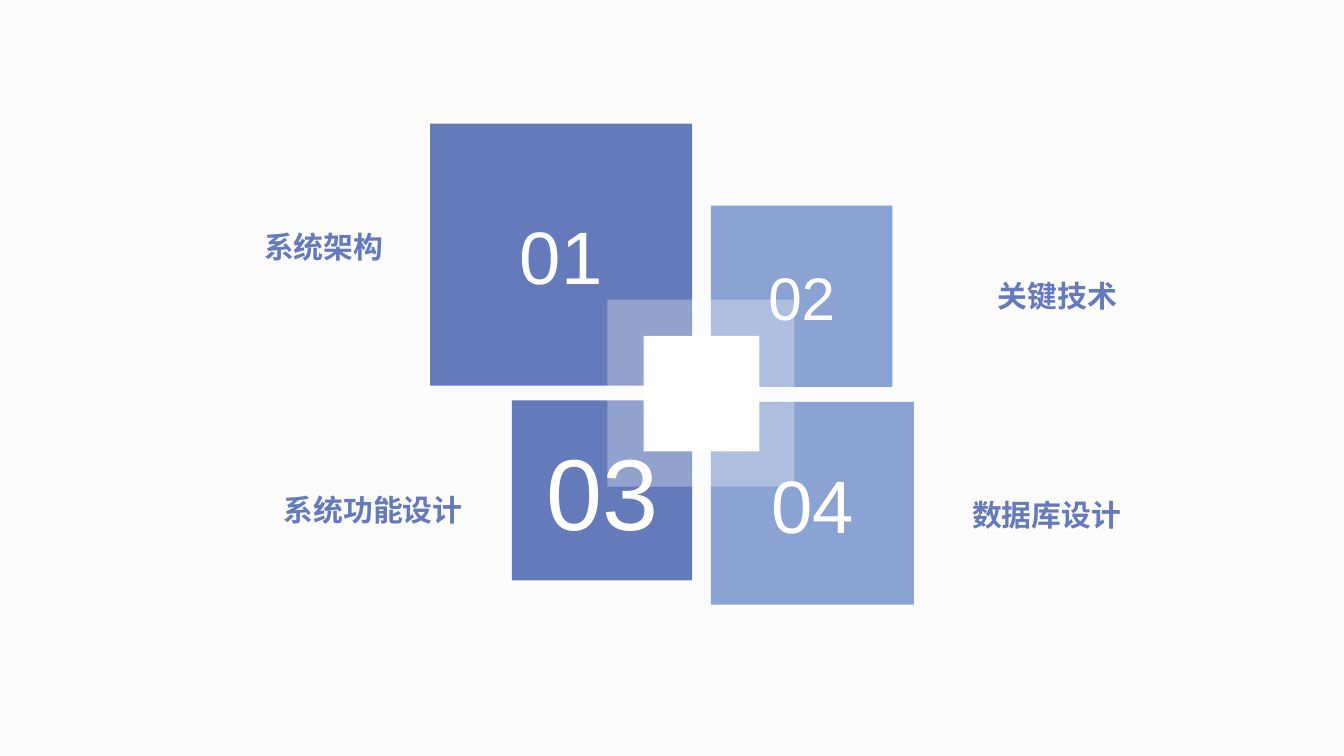
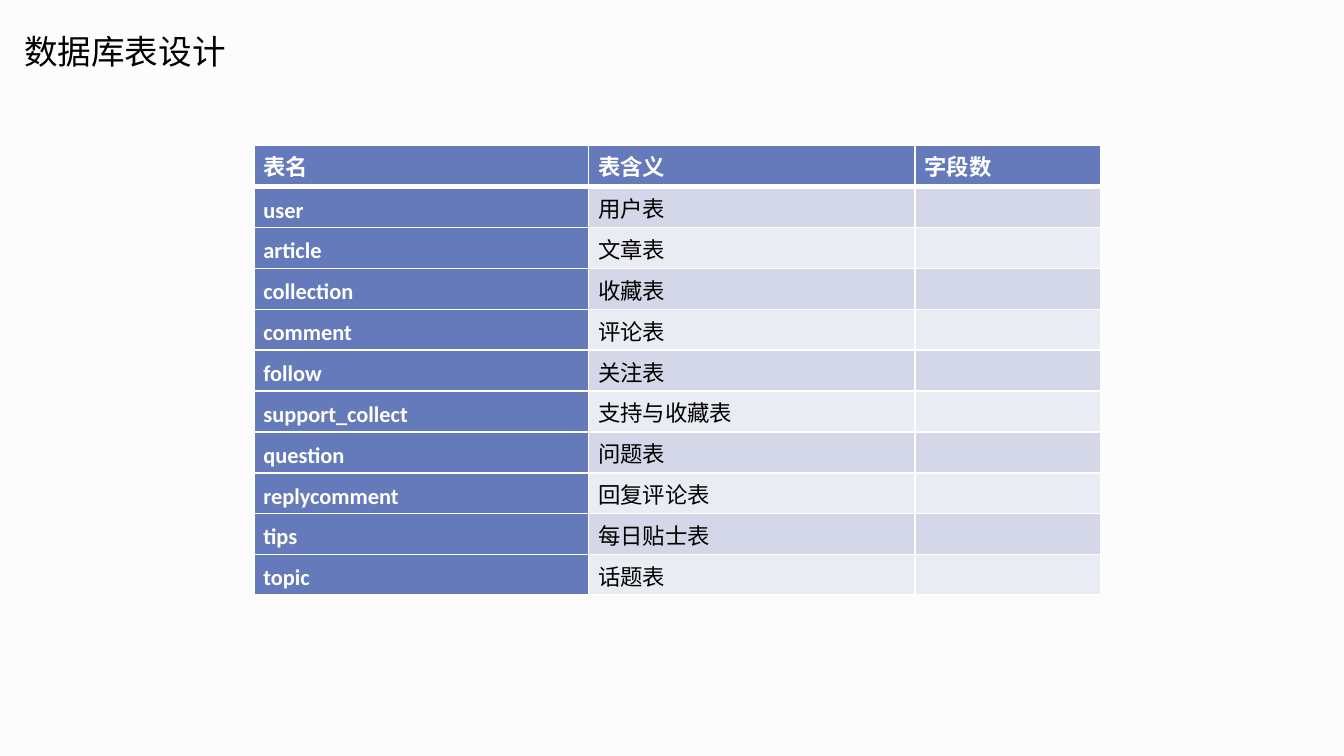
from pptx import Presentation
from pptx.dml.color import RGBColor
from pptx.enum.shapes import MSO_SHAPE as Shape
from pptx.enum.text import MSO_ANCHOR as Anchor, MSO_AUTO_SIZE as AutoSize, PP_ALIGN as Align
from pptx.oxml.ns import qn
from pptx.util import Inches, Pt
from lxml.etree import SubElement

# Shared look
BLUE, LIGHT_BLUE = "647ABA", "8AA3D2"
WHITE, BLACK, PAPER = "FFFFFF", "000000", "FCFCFC"
BANDS = ("D3D7E7", "EAECF3")
CJK, LATIN, BODY = "Noto Sans CJK SC", "Arial", "Calibri"
TITLE_ONLY, BLANK = 5, 6

# Agenda: number, left, top, side, colour, text size
SQUARES = [
    ("01", 3.2, 0.92, 1.95, BLUE, 39.8),
    ("04", 5.29, 2.99, 1.51, LIGHT_BLUE, 39.8),
    ("02", 5.29, 1.53, 1.35, LIGHT_BLUE, 32.2),
    ("03", 3.81, 2.98, 1.34, BLUE, 54),
]
# Agenda: topic, left, top, width
TOPICS = [
    ("系统架构", 1.73, 1.65, 1.22),
    ("关键技术", 6.76, 2.02, 1.65),
    ("系统功能设计", 1.89, 3.61, 1.65),
    ("数据库设计", 6.79, 3.65, 1.65),
]

HEADER = ("表名", "表含义", "字段数")
DB_TABLES = [
    ("user", "用户表"),
    ("article", "文章表"),
    ("collection", "收藏表"),
    ("comment", "评论表"),
    ("follow", "关注表"),
    ("support_collect", "支持与收藏表"),
    ("question", "问题表"),
    ("replycomment", "回复评论表"),
    ("tips", "每日贴士表"),
    ("topic", "话题表"),
]
COLUMN_WIDTHS = (2.49, 2.43, 1.38)
HEADER_HEIGHT, TABLE_HEIGHT = 0.31, 3.35


def rgb(color):
    return RGBColor.from_string(color)


def box(left, top, width, height):
    return [Inches(length) for length in (left, top, width, height)]


def paint(target, color):
    target.fill.solid()
    target.fill.fore_color.rgb = rgb(color)


def write(frame, text, *, size, color, font=CJK, bold=False, align=Align.LEFT, spacing=None):
    paragraph = frame.paragraphs[0]
    paragraph.alignment = align
    if spacing:
        paragraph.line_spacing = Pt(spacing)
    if not text:
        return
    run = paragraph.add_run()
    run.text = text
    run.font.size, run.font.bold, run.font.name = Pt(size), bold, font
    run.font.color.rgb = rgb(color)
    SubElement(run.font._element, qn("a:ea")).set("typeface", CJK)


def add_block(shapes, kind, place, color):
    block = shapes.add_shape(kind, *place)
    block.shadow.inherit = False
    block.line.fill.background()
    paint(block, color)
    return block


def add_numbered_square(slide, number, left, top, side, color, size):
    square = add_block(slide.shapes, Shape.RECTANGLE, box(left, top, side, side), color)
    square.text_frame.vertical_anchor = Anchor.MIDDLE
    write(square.text_frame, number, size=size, color=WHITE, font=LATIN, align=Align.CENTER)


def add_topic(slide, topic, left, top, width):
    label = slide.shapes.add_textbox(*box(left, top, width, 0.37)).text_frame
    label.word_wrap = True
    label.auto_size = AutoSize.SHAPE_TO_FIT_TEXT
    write(label, topic, size=16, color=BLUE, bold=True, align=Align.RIGHT)


def add_hub(slide):
    """White centre square inside a translucent frame."""
    hub = slide.shapes.add_group_shape()
    halo = add_block(hub.shapes, Shape.FRAME, box(4.52, 2.23, 1.39, 1.39), WHITE)
    halo.adjustments[0] = 0.2
    tint = halo._element.spPr.find(qn("a:solidFill"))[0]
    SubElement(tint, qn("a:alpha")).set("val", "30000")
    add_block(hub.shapes, Shape.RECTANGLE, box(4.79, 2.5, 0.86, 0.86), WHITE)


def set_title(slide, text):
    title = slide.shapes.title
    title.left, title.top, title.width, title.height = box(0.08, 0.18, 1.72, 0.4)
    frame = title.text_frame
    frame.word_wrap = False
    frame.auto_size = AutoSize.SHAPE_TO_FIT_TEXT
    frame.vertical_anchor = Anchor.TOP
    write(frame, text, size=18, color=BLACK)


def set_borders(cell, top, bottom):
    properties = cell._tc.get_or_add_tcPr()
    for side, width in (("L", 1), ("R", 1), ("T", top), ("B", bottom)):
        line = SubElement(properties, qn(f"a:ln{side}"), w=str(Pt(width)))
        fill = SubElement(line, qn("a:solidFill"))
        SubElement(fill, qn("a:srgbClr"), val=WHITE)


def fill_cell(cell, text, row, column):
    heading = row == 0 or column == 0
    cell.margin_left = cell.margin_right = Inches(0.07)
    cell.margin_top = cell.margin_bottom = 0
    # The rule under the header is heavier than the rest
    set_borders(cell, top=3 if row == 1 else 1, bottom=3 if row == 0 else 1)
    paint(cell, BLUE if heading else BANDS[(row - 1) % 2])
    write(cell.text_frame, text, size=12, color=WHITE if heading else BLACK,
          font=BODY, bold=heading, spacing=20)


def add_db_table(slide):
    rows = [HEADER] + [(name, meaning, "") for name, meaning in DB_TABLES]
    place = box(1.89, 1.08, sum(COLUMN_WIDTHS), TABLE_HEIGHT)
    table = slide.shapes.add_table(len(rows), len(HEADER), *place).table
    for column, width in zip(table.columns, COLUMN_WIDTHS):
        column.width = Inches(width)
    body_height = (TABLE_HEIGHT - HEADER_HEIGHT) / len(DB_TABLES)
    for r, texts in enumerate(rows):
        table.rows[r].height = Inches(body_height if r else HEADER_HEIGHT)
        for c, text in enumerate(texts):
            fill_cell(table.cell(r, c), text, r, c)


def main():
    deck = Presentation()
    # Widescreen, 16:9
    deck.slide_width = Inches(10)
    deck.slide_height = deck.slide_width * 9 // 16
    paint(deck.slide_master.background, PAPER)

    # Agenda
    agenda = deck.slides.add_slide(deck.slide_layouts[BLANK])
    for square in SQUARES:
        add_numbered_square(agenda, *square)
    add_hub(agenda)
    for topic in TOPICS:
        add_topic(agenda, *topic)

    # Database tables
    database = deck.slides.add_slide(deck.slide_layouts[TITLE_ONLY])
    set_title(database, "数据库表设计")
    add_db_table(database)

    deck.save("out.pptx")


if __name__ == "__main__":
    main()
